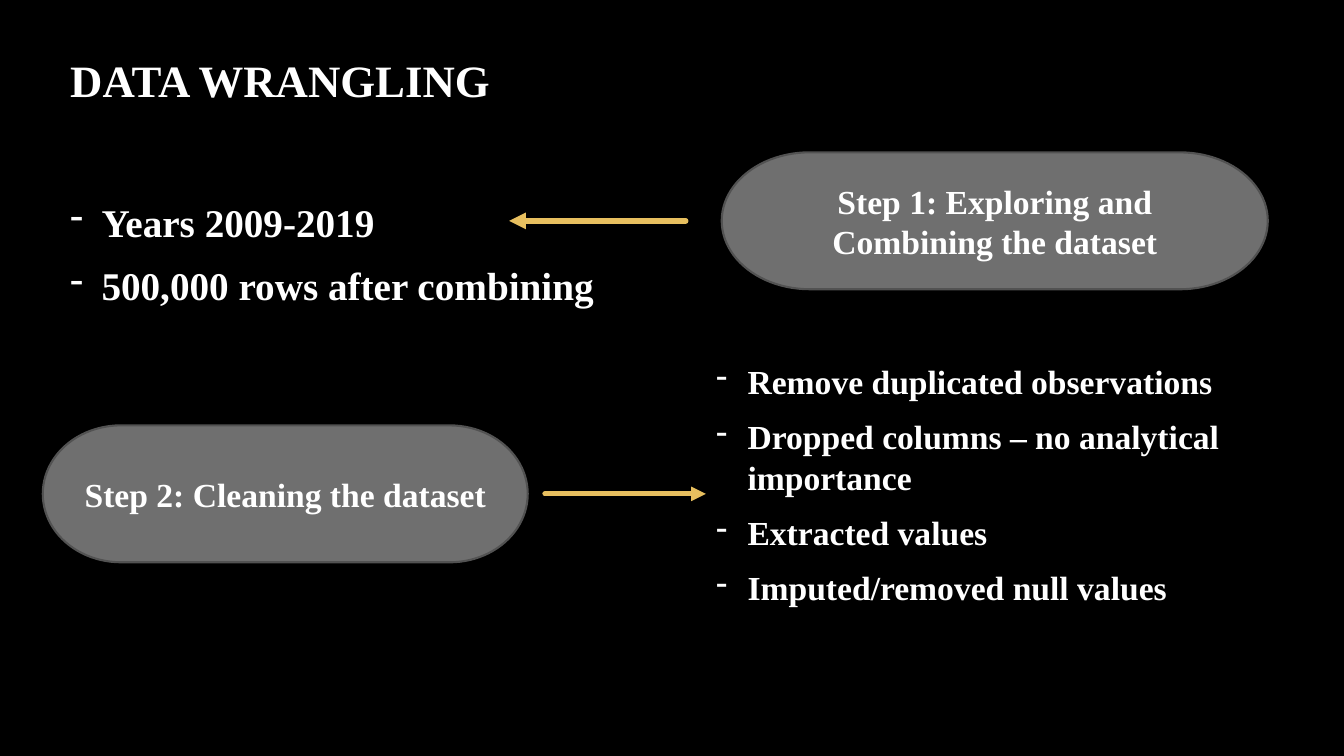
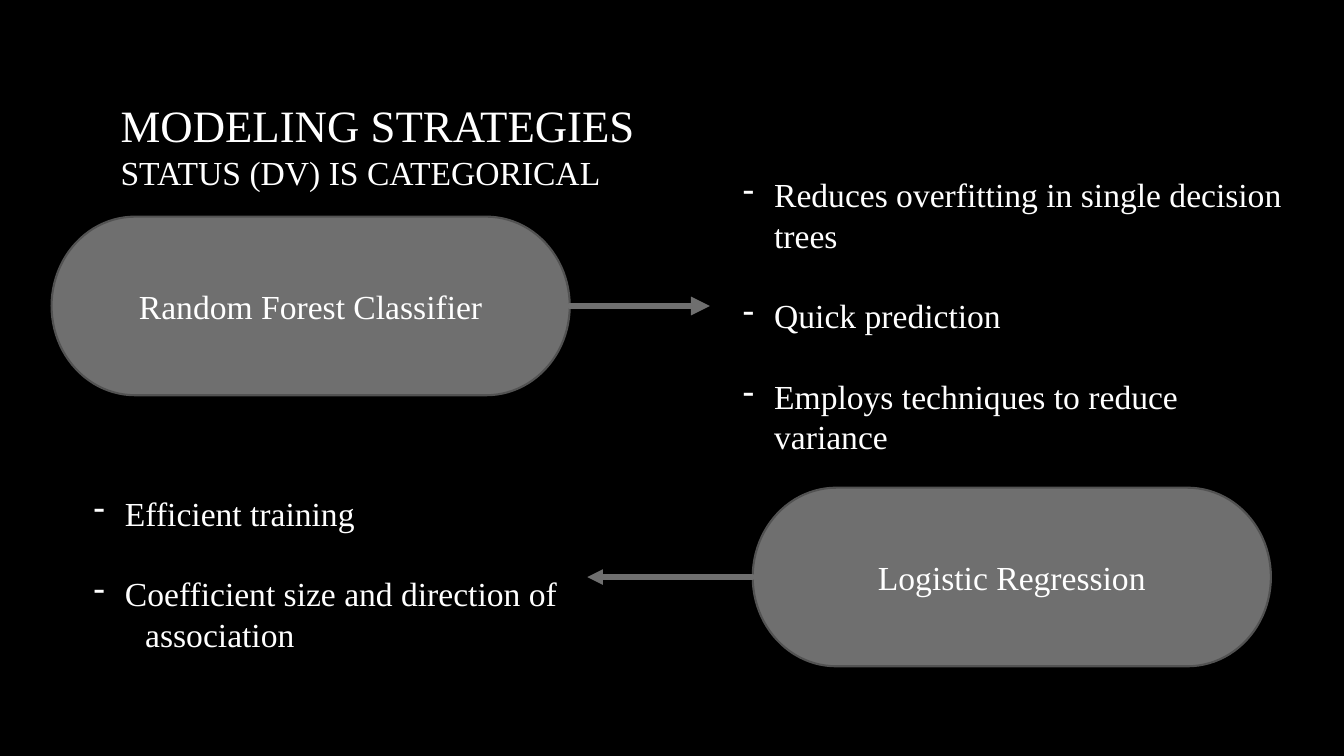
from lxml.etree import SubElement
from pptx import Presentation
from pptx.dml.color import RGBColor
from pptx.enum.shapes import MSO_CONNECTOR as Connector, MSO_SHAPE as Shape
from pptx.enum.text import MSO_ANCHOR as Anchor, PP_ALIGN as Align
from pptx.oxml.ns import qn
from pptx.util import Cm, Pt

BLACK = RGBColor(0x00, 0x00, 0x00)
WHITE = RGBColor(0xFF, 0xFF, 0xFF)
GREY = RGBColor(0x6F, 0x6F, 0x6F)
DARK_GREY = RGBColor(0x52, 0x52, 0x52)
GOLD = RGBColor(0xE7, 0xBF, 0x5F)

FONT = "Times New Roman"
TITLE_SIZE, TEXT_SIZE = 32, 24
HANGING = 0.79
LEFT_SIDE, RIGHT_SIDE = 1, 3


def apply_format(target, values):
    for name, value in values.items():
        setattr(target, name, value)


def add_run(paragraph, text, size=TEXT_SIZE, bold=False):
    run = paragraph.add_run()
    run.text = text
    apply_format(run.font, {"name": FONT, "size": Pt(size), "bold": bold})
    run.font.color.rgb = WHITE


def add_text_box(slide, box, anchor, bottom=0.13):
    frame = slide.shapes.add_textbox(*map(Cm, box)).text_frame
    apply_format(frame, {"word_wrap": True, "vertical_anchor": anchor,
                         "margin_bottom": Cm(bottom)})
    return frame


def add_title(slide, box, lines, bold=False, bottom=0.13):
    """Place (text, size) lines in one title paragraph."""
    paragraph = add_text_box(slide, box, Anchor.MIDDLE, bottom).paragraphs[0]
    for index, (text, size) in enumerate(lines):
        if index:
            paragraph.add_line_break()
        add_run(paragraph, text, size, bold)


def indent(paragraph, left, dash=True):
    properties = paragraph._p.get_or_add_pPr()
    properties.set("marL", str(Cm(left)))
    if dash:
        properties.set("indent", str(-Cm(left)))
        SubElement(properties, qn("a:buChar"), char="-")


def add_dash_list(slide, box, items, size=TEXT_SIZE, bold=False,
                  before=0, after=0, anchor=Anchor.TOP, bottom=0.13):
    frame = add_text_box(slide, box, anchor, bottom)
    for index, item in enumerate(items):
        paragraph = frame.add_paragraph() if index else frame.paragraphs[0]
        apply_format(paragraph, {"space_before": Pt(before if index else 0),
                                 "space_after": Pt(after)})
        indent(paragraph, HANGING)
        add_run(paragraph, item, size, bold)
    return frame


def add_pill(slide, box, text, bold=False):
    pill = slide.shapes.add_shape(Shape.FLOWCHART_TERMINATOR, *map(Cm, box))
    pill.shadow.inherit = False
    pill.fill.solid()
    pill.fill.fore_color.rgb = GREY
    pill.line.color.rgb = DARK_GREY
    pill.line.width = Pt(1.5)
    apply_format(pill.text_frame, {"word_wrap": True,
                                   "vertical_anchor": Anchor.MIDDLE})
    paragraph = pill.text_frame.paragraphs[0]
    paragraph.alignment = Align.CENTER
    add_run(paragraph, text, bold=bold)
    return pill


def add_arrow(slide, pill, side, length, color, width, gap=0):
    """Draw a level arrow away from one side of the pill."""
    direction = 1 if side == RIGHT_SIDE else -1
    edge = pill.left + (pill.width if side == RIGHT_SIDE else 0)
    start = edge + direction * Cm(gap)
    end = start + direction * Cm(length)
    middle = pill.top + pill.height // 2
    arrow = slide.shapes.add_connector(Connector.STRAIGHT,
                                       start, middle, end, middle)
    if not gap:
        arrow.begin_connect(pill, side)
    arrow.line.color.rgb = color
    arrow.line.width = Pt(width)
    line = arrow.line._get_or_add_ln()
    line.set("cap", "rnd")
    SubElement(line, qn("a:tailEnd"), type="triangle")
    SubElement(arrow._element.spPr, qn("a:effectLst"))


def add_black_slide(presentation):
    slide = presentation.slides.add_slide(presentation.slide_layouts[6])
    slide.background.fill.solid()
    slide.background.fill.fore_color.rgb = BLACK
    return slide


def add_wrangling_slide(presentation):
    slide = add_black_slide(presentation)
    add_title(slide, (1.52, 0, 27.5, 5.28), [("DATA WRANGLING", TITLE_SIZE)],
              bold=True, bottom=1.4)
    list_format = {"bold": True, "after": 6, "anchor": Anchor.MIDDLE,
                   "bottom": 1.33}
    add_dash_list(slide, (1.52, 2.64, 15.4, 8.69),
                  ["Years 2009-2019", "500,000 rows after combining"],
                  size=28, before=5.6, **list_format)
    add_dash_list(slide, (17.8, 8.46, 15.4, 8.69),
                  ["Remove duplicated observations",
                   "Dropped columns – no analytical importance",
                   "Extracted values",
                   "Imputed/removed null values"],
                  before=4.8, **list_format)
    exploring = add_pill(slide, (18.19, 3.84, 13.76, 3.45),
                         "Step 1: Exploring and Combining the dataset", True)
    cleaning = add_pill(slide, (1.08, 10.72, 12.22, 3.45),
                        "Step 2: Cleaning the dataset", True)
    add_arrow(slide, exploring, LEFT_SIDE, 4.45, GOLD, 4, gap=0.91)
    add_arrow(slide, cleaning, RIGHT_SIDE, 4.06, GOLD, 3.5, gap=0.43)


def add_modeling_slide(presentation):
    slide = add_black_slide(presentation)
    add_title(slide, (2.79, 1.02, 27.5, 5.28),
              [("MODELING STRATEGIES", TITLE_SIZE),
               ("STATUS (DV) IS CATEGORICAL", TEXT_SIZE)])
    forest = add_pill(slide, (1.3, 5.46, 13.06, 4.5),
                      "Random Forest Classifier")
    regression = add_pill(slide, (18.97, 12.29, 13.06, 4.5),
                          "Logistic Regression")
    blank_line = TEXT_SIZE * 1.2
    add_dash_list(slide, (18.47, 4.27, 14.1, 7.44),
                  ["Reduces overfitting in single decision trees",
                   "Quick prediction",
                   "Employs techniques to reduce variance"],
                  before=blank_line)
    strengths = add_dash_list(slide, (2.11, 12.29, 14.5, 4.37),
                              ["Efficient training",
                               "Coefficient size and direction of"],
                              before=blank_line)
    continuation = strengths.add_paragraph()
    indent(continuation, 1.3, dash=False)
    add_run(continuation, "association")
    add_arrow(slide, forest, RIGHT_SIDE, 3.53, GREY, 4.5)
    add_arrow(slide, regression, LEFT_SIDE, 4.17, GREY, 3.75)


def main():
    presentation = Presentation()
    apply_format(presentation, {"slide_width": Cm(33.87),
                                "slide_height": Cm(19.05)})
    add_wrangling_slide(presentation)
    add_modeling_slide(presentation)
    presentation.save("out.pptx")


if __name__ == "__main__":
    main()
